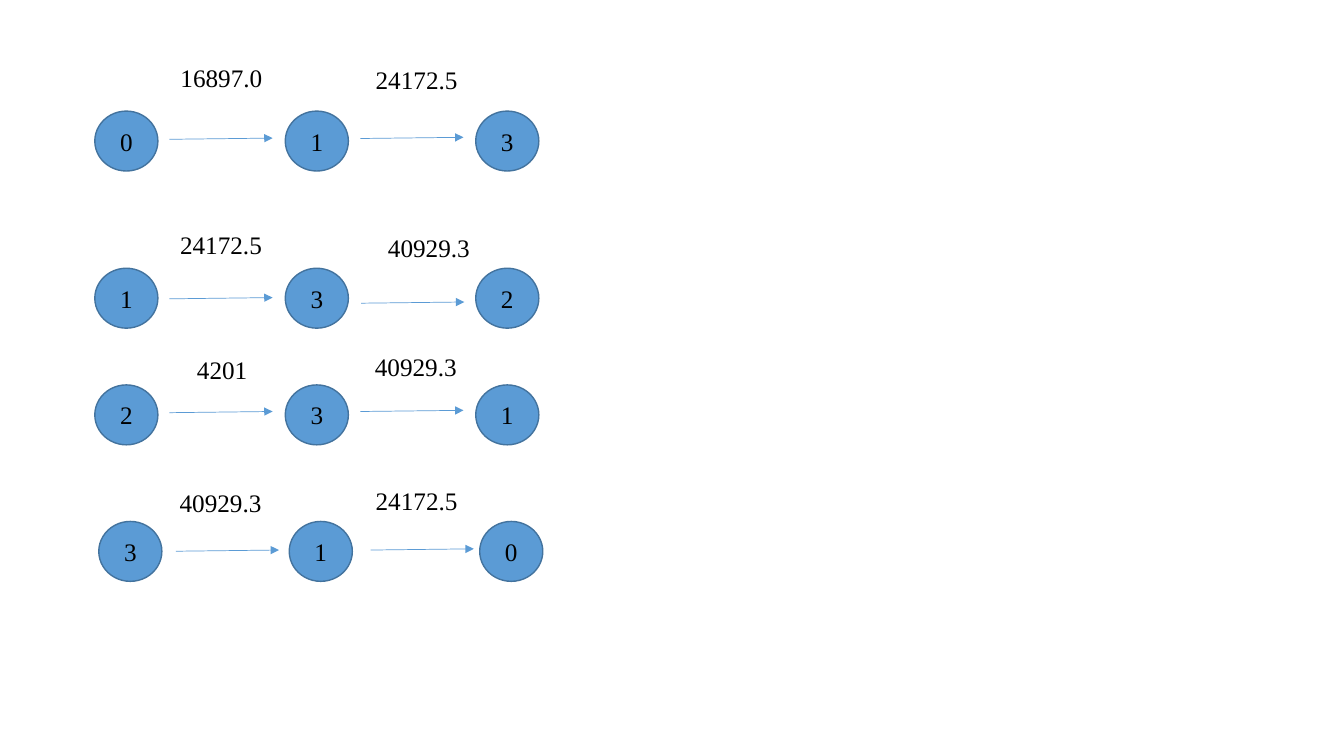
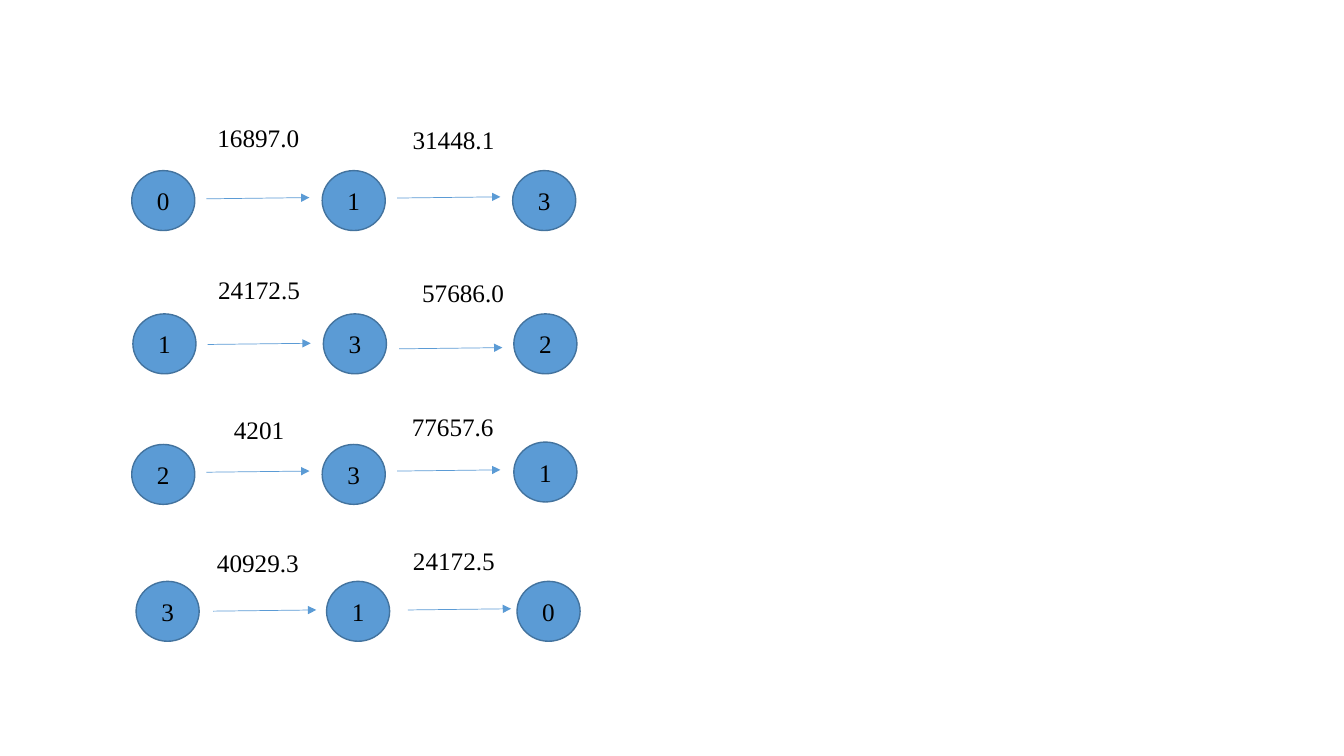
"""Draw two slides of weighted node chains."""
from dataclasses import dataclass

from lxml import etree
from pptx import Presentation
from pptx.dml.color import RGBColor
from pptx.enum import shapes, text
from pptx.oxml import ns
from pptx.util import Cm, Pt

COLORS = {"node": "5B9BD5", "outline": "43739E", "text": "000000"}
FONT = {"name": "Times New Roman", "size": Pt(18)}
NODE_W, NODE_H, NODE_PITCH = 1.59, 1.51, 4.8
ARROW_W, ARROW_RISE = 2.6, 0.03
LABEL_H, NARROW, WIDE = 1.02, 2.6, 3.22


@dataclass(frozen=True)
class Hop:
    arrow_x: float
    arrow_y: float
    label_x: float
    label_y: float
    label_w: float = NARROW


@dataclass(frozen=True)
class Route:
    nodes: str
    hops: tuple[Hop, Hop]


@dataclass(frozen=True)
class Chain:
    left: float
    top: float
    weights: tuple[str, str]
    last_label_dx: float = 0
    last_node_dx: float = 0
    last_node_dy: float = 0


ROUTES = (
    Route("013", (Hop(1.88, 0.71, 1.89, -1.35), Hop(6.69, 0.69, 6.81, -1.3))),
    Route("132", (Hop(1.88, 0.77, 1.88, -1.11), Hop(6.71, 0.88, 6.81, -1.04, WIDE))),
    Route("231", (Hop(1.88, 0.7, 1.91, -0.89), Hop(6.69, 0.67, 6.48, -0.97, WIDE))),
    Route("310", (Hop(1.94, 0.75, 1.46, -0.98, WIDE), Hop(6.85, 0.72, 6.71, -1.03))),
)
SLIDES = (
    (
        Chain(2.39, 2.8, ("16897.0", "24172.5")),
        Chain(2.39, 6.76, ("24172.5", "40929.3")),
        Chain(2.39, 9.7, ("4201", "40929.3")),
        Chain(2.49, 13.14, ("40929.3", "24172.5")),
    ),
    (
        Chain(3.32, 4.3, ("16897.0", "31448.1")),
        Chain(3.35, 7.91, ("24172.5", "57686.0"), last_label_dx=-0.1),
        Chain(3.32, 11.2, ("4201", "77657.6"), last_node_dx=0.03, last_node_dy=-0.06),
        Chain(3.43, 14.65, ("40929.3", "24172.5")),
    ),
)


def color(key: str) -> RGBColor:
    """Look up a named colour."""
    return RGBColor.from_string(COLORS[key])


def write(sp, content: str, frame: dict) -> None:
    """Put one centred line of text in a shape."""
    tf = sp.text_frame
    for name, value in frame.items():
        setattr(tf, name, value)
    p = tf.paragraphs[0]
    p.alignment = text.PP_ALIGN.CENTER
    r = p.add_run()
    r.text = content
    for name, value in FONT.items():
        setattr(r.font, name, value)
    r.font.color.rgb = color("text")


def add_node(s, x: float, y: float, name: str) -> None:
    """Draw a numbered node."""
    sp = s.shapes.add_shape(
        shapes.MSO_SHAPE.OVAL, Cm(x), Cm(y), Cm(NODE_W), Cm(NODE_H)
    )
    sp.shadow.inherit = False
    sp.fill.solid()
    sp.fill.fore_color.rgb = color("node")
    sp.line.color.rgb = color("outline")
    sp.line.width = Pt(1)
    write(sp, name, {"vertical_anchor": text.MSO_ANCHOR.MIDDLE})


def add_arrow(s, x: float, y: float) -> None:
    """Draw a thin arrow to the next node."""
    sp = s.shapes.add_connector(
        shapes.MSO_CONNECTOR.STRAIGHT,
        Cm(x), Cm(y), Cm(x + ARROW_W), Cm(y - ARROW_RISE),
    )
    sp.line.color.rgb = color("node")
    sp.line.width = Pt(0.5)
    etree.SubElement(sp.line._get_or_add_ln(), ns.qn("a:tailEnd"), type="triangle")
    etree.SubElement(sp._element.spPr, ns.qn("a:effectLst"))


def add_weight(s, x: float, y: float, width: float, weight: str) -> None:
    """Write a weight above its arrow."""
    sp = s.shapes.add_textbox(Cm(x), Cm(y), Cm(width), Cm(LABEL_H))
    write(sp, weight, {
        "word_wrap": False,
        "auto_size": text.MSO_AUTO_SIZE.SHAPE_TO_FIT_TEXT,
    })


def add_chain(s, route: Route, chain: Chain) -> None:
    """Draw the nodes, arrows and weights of one chain."""
    last = len(route.nodes) - 1
    for i, name in enumerate(route.nodes):
        dx, dy = (chain.last_node_dx, chain.last_node_dy) if i == last else (0, 0)
        add_node(s, chain.left + i * NODE_PITCH + dx, chain.top + dy, name)
    for i, (hop, weight) in enumerate(zip(route.hops, chain.weights), start=1):
        add_arrow(s, chain.left + hop.arrow_x, chain.top + hop.arrow_y)
        dx = chain.last_label_dx if i == last else 0
        add_weight(
            s, chain.left + hop.label_x + dx, chain.top + hop.label_y,
            hop.label_w, weight,
        )


def main() -> None:
    """Build and save the presentation."""
    prs = Presentation()
    prs.slide_width, prs.slide_height = Cm(33.87), Cm(19.05)
    for chains in SLIDES:
        s = prs.slides.add_slide(prs.slide_layouts[6])
        for route, chain in zip(ROUTES, chains):
            add_chain(s, route, chain)
    prs.save("out.pptx")


main()
